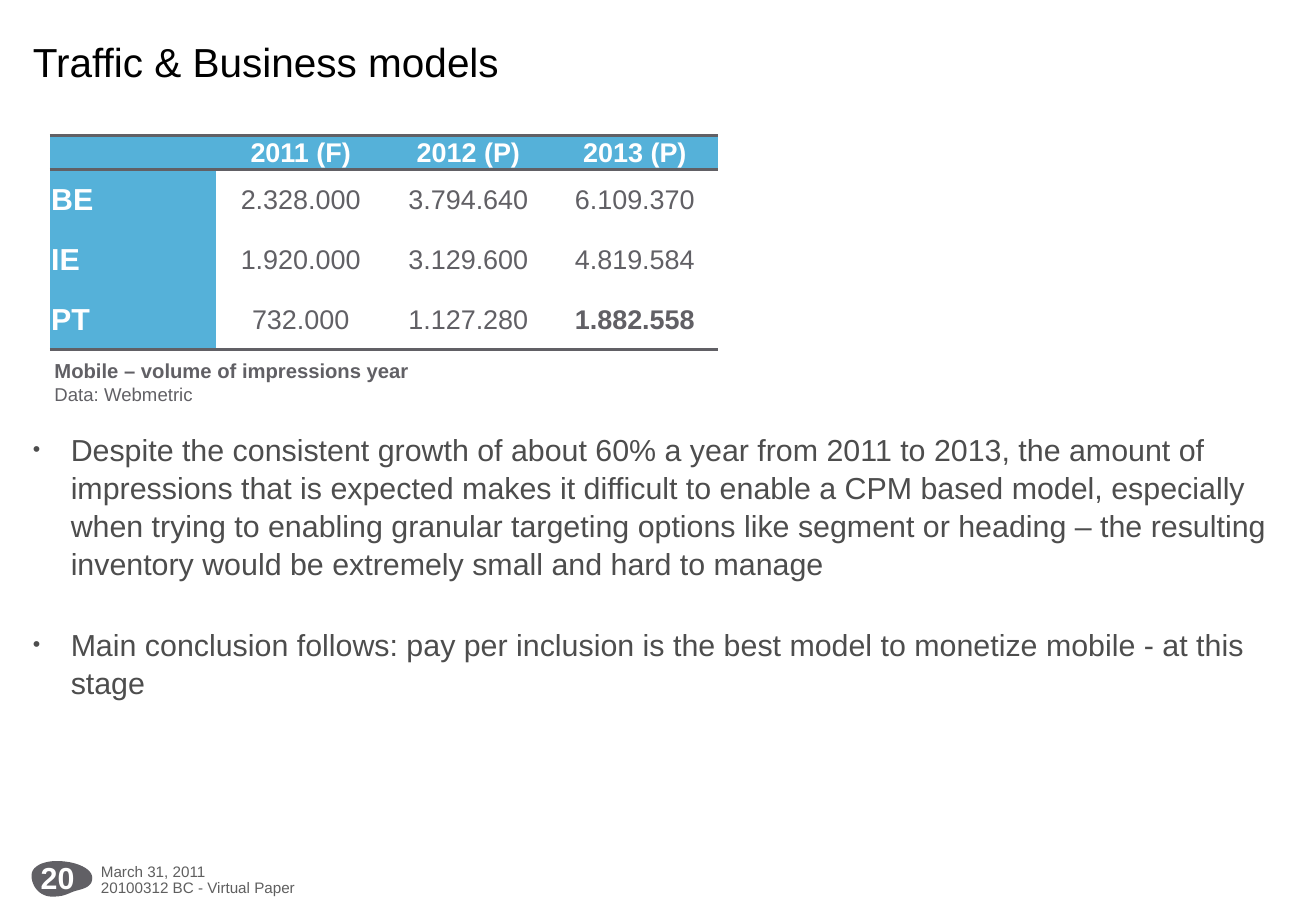
import lxml.etree
import pptx
import pptx.dml.color
import pptx.enum.text
import pptx.oxml
import pptx.oxml.ns
import pptx.util

Cm = pptx.util.Cm
Pt = pptx.util.Pt
RGBColor = pptx.dml.color.RGBColor
PP_ALIGN = pptx.enum.text.PP_ALIGN
MSO_ANCHOR = pptx.enum.text.MSO_ANCHOR
qn = pptx.oxml.ns.qn

BLACK = RGBColor(0x00, 0x00, 0x00)
WHITE = RGBColor(0xFF, 0xFF, 0xFF)
BLUE = RGBColor(0x55, 0xB1, 0xD9)
GREY = RGBColor(0x61, 0x60, 0x65)
BODY_GREY = RGBColor(0x4D, 0x4D, 0x4D)
FOOTER_GREY = RGBColor(0x5F, 0x5F, 0x5F)
NO_STYLE = "{2D5ABB26-0587-4C30-8999-92F81FD0307C}"


class Deck:
    font = "Arial"

    def __init__(self, width, height):
        self.prs = pptx.Presentation()
        self.prs.slide_width, self.prs.slide_height = Cm(width), Cm(height)
        self.s = self.prs.slides.add_slide(self.prs.slide_layouts[6])

    def style(self, p, size, color, bold=False):
        for r in p.runs:
            r.font.name = self.font
            r.font.size = Pt(size)
            r.font.bold = bold
            r.font.color.rgb = color

    def text(self, box, text, size, color, bold=False,
             anchor=MSO_ANCHOR.TOP, margins=(0, 0, 0, 0), wrap=True):
        sp = self.s.shapes.add_textbox(*map(Cm, box))
        tf = sp.text_frame
        tf.word_wrap = wrap
        tf.vertical_anchor = anchor
        tf.margin_left, tf.margin_top, tf.margin_right, tf.margin_bottom = map(Cm, margins)
        tf.text = text
        for p in tf.paragraphs:
            self.style(p, size, color, bold)
        return tf

    def bullet(self, p, indent, space_before):
        p.line_spacing = 1.05
        p.space_before = Pt(space_before)
        pPr = p._p.get_or_add_pPr()
        pPr.set("marL", str(Cm(indent)))
        pPr.set("indent", str(-Cm(indent)))
        for tag, key, value in (("a:buSzPct", "val", "70000"),
                                ("a:buFont", "typeface", self.font),
                                ("a:buChar", "char", "•")):
            lxml.etree.SubElement(pPr, qn(tag)).set(key, value)

    def curved_shape(self, start, curves, color, steps=12):
        points = []
        p0 = start
        for p1, p2, p3 in curves:
            for i in range(1, steps + 1):
                t = i / steps
                points.append([
                    Cm((1 - t) ** 3 * a + 3 * (1 - t) ** 2 * t * b
                       + 3 * (1 - t) * t ** 2 * c + t ** 3 * d)
                    for a, b, c, d in zip(p0, p1, p2, p3)])
            p0 = p3
        fb = self.s.shapes.build_freeform(Cm(start[0]), Cm(start[1]))
        fb.add_line_segments(points, close=True)
        sp = fb.convert_to_shape()
        sp.shadow.inherit = False
        sp.fill.solid()
        sp.fill.fore_color.rgb = color
        sp.line.fill.background()

    def border(self, cell, side, color, width):
        ln = lxml.etree.SubElement(cell._tc.get_or_add_tcPr(), qn("a:ln" + side))
        ln.set("w", str(Pt(width)))
        fill = lxml.etree.SubElement(ln, qn("a:solidFill"))
        lxml.etree.SubElement(fill, qn("a:srgbClr")).set("val", str(color))

    def cell(self, cell, text, size, color, bold, align, fill, sides):
        for side in sides:
            self.border(cell, side, GREY, 2)
        cell.fill.solid()
        cell.fill.fore_color.rgb = fill
        cell.vertical_anchor = MSO_ANCHOR.MIDDLE
        cell.margin_left = cell.margin_top = cell.margin_right = Cm(0.03)
        cell.margin_bottom = 0
        cell.text_frame.text = text
        p = cell.text_frame.paragraphs[0]
        p.alignment = align
        p._p.get_or_add_endParaRPr().set("sz", str(size * 100))
        self.style(p, size, color, bold)

    def table(self, left, top, widths, heights, rows, bold_values):
        frame = self.s.shapes.add_table(len(rows), len(widths), Cm(left), Cm(top),
                                        Cm(sum(widths)), Cm(sum(heights)))
        table = frame.table
        table.first_row = table.horz_banding = False
        table._tbl.tblPr.find(qn("a:tableStyleId")).text = NO_STYLE
        for column, width in zip(table.columns, widths):
            column.width = Cm(width)
        for i, (values, height) in enumerate(zip(rows, heights)):
            table.rows[i].height = Cm(height)
            sides = "TB" if i == 0 else "B" if i == len(rows) - 1 else ""
            for j, value in enumerate(values):
                heading = i == 0 or j == 0
                label = i > 0 and j == 0
                self.cell(table.cell(i, j), value,
                          18 if label else 16,
                          WHITE if heading else GREY,
                          heading or value in bold_values,
                          PP_ALIGN.LEFT if label else PP_ALIGN.CENTER,
                          BLUE if heading else WHITE, sides)


deck = Deck(27.51, 19.05)

deck.curved_shape((1.55, 18.64),
                  [((1.7, 18.59), (1.93, 18.57), (1.93, 18.36)),
                   ((1.93, 18.16), (1.6, 18.03), (1.3, 18.01)),
                   ((0.99, 17.98), (0.66, 18.08), (0.66, 18.31)),
                   ((0.66, 18.54), (0.84, 18.75), (1.09, 18.75)),
                   ((1.35, 18.75), (1.4, 18.69), (1.55, 18.64))], GREY)

title = deck.text((0.69, 0.25, 23.04, 2.21), "Traffic & Business models", 24, BLACK,
                  anchor=MSO_ANCHOR.MIDDLE, margins=(0, 0.13, 0.25, 0.13))
title.paragraphs[0].line_spacing = 0.9

body = deck.text(
    (0.69, 8.84, 26.09, 8.46),
    "Despite the consistent growth of about 60% a year from 2011 to 2013, the amount of "
    "impressions that is expected makes it difficult to enable a CPM based model, especially "
    "when trying to enabling granular targeting options like segment or heading – the "
    "resulting inventory would be extremely small and hard to manage\n"
    "Main conclusion follows: pay per inclusion is the best model to monetize mobile - at "
    "this stage",
    18, BODY_GREY, margins=(0, 0.13, 0, 0.13))
for p, space_before in zip(body.paragraphs, (1.8, 25)):
    deck.bullet(p, 0.79, space_before)

deck.text((0.85, 17.98, 1.0, 0.74), "20", 18, WHITE, True, MSO_ANCHOR.MIDDLE)
deck.text((2.11, 18.03, 6.38, 0.38), "March 31, 2011", 9, FOOTER_GREY,
          anchor=MSO_ANCHOR.BOTTOM)
deck.text((2.11, 18.36, 11.51, 0.36), "20100312 BC - Virtual Paper", 9, FOOTER_GREY)

deck.table(1.04, 2.84, (3.48, 3.53, 3.48, 3.48), (0.71, 1.25, 1.25, 1.25),
           (("", "2011 (F)", "2012 (P)", "2013 (P)"),
            ("BE", "2.328.000", "3.794.640", "6.109.370"),
            ("IE", "1.920.000", "3.129.600", "4.819.584"),
            ("PT", "732.000", "1.127.280", "1.882.558")),
           {"1.882.558"})

caption = deck.text((0.89, 7.37, 8.0, 1.24),
                    "Mobile – volume of impressions year\nData: Webmetric",
                    12, GREY, True, margins=(0.25, 0.13, 0.25, 0.13), wrap=False)
deck.style(caption.paragraphs[1], 11, GREY)

deck.prs.save("out.pptx")
